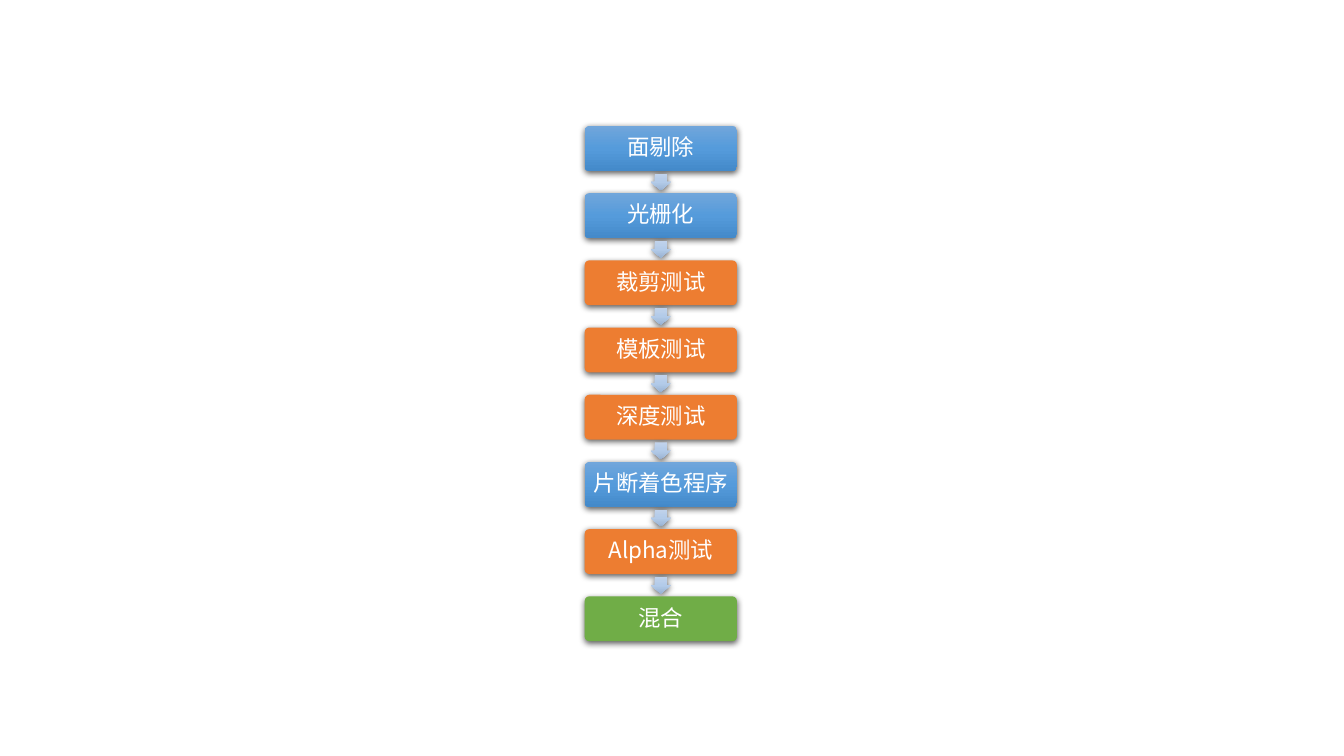
from copy import deepcopy
from lxml import etree
from pptx import Presentation
from pptx.dml.color import RGBColor
from pptx.enum.shapes import MSO_SHAPE
from pptx.enum.text import MSO_ANCHOR, PP_ALIGN
from pptx.oxml import parse_xml
from pptx.oxml.ns import qn
from pptx.util import Pt

THEME = {
    "font": "Noto Sans CJK SC",
    "size": Pt(16),
    "text": "FFFFFF",
    "stage": ["71A6DB", "559BDB", "448ACA"],
    "test": ["ED7D31"],
    "blend": ["70AD47"],
    "arrow": ["C0D2EB", "B3CBE9", "9BB4D3"],
}
SHADOW = (
    '<a:outerShdw xmlns:a="http://schemas.openxmlformats.org/drawingml/2006/main" '
    'blurRad="57150" dist="19050" dir="5400000" algn="ctr" rotWithShape="0">'
    '<a:srgbClr val="000000"><a:alpha val="63000"/></a:srgbClr></a:outerShdw>'
)
STEPS = [
    ("面剔除", "stage"),
    ("光栅化", "stage"),
    ("裁剪测试", "test"),
    ("模板测试", "test"),
    ("深度测试", "test"),
    ("片断着色程序", "stage"),
    ("Alpha测试", "test"),
    ("混合", "blend"),
]
CENTER, TOP, PITCH = 472, 90, 48
BOX_W, BOX_H = 108.7, 32
ARROW_W, ARROW_H = 12, 14.4


def add_block(kind, middle, width, height, colors):
    block = slide.shapes.add_shape(
        kind, Pt(CENTER - width / 2), Pt(middle - height / 2), Pt(width), Pt(height)
    )
    if len(colors) == 1:
        block.fill.solid()
        block.fill.fore_color.rgb = RGBColor.from_string(colors[0])
    else:
        block.fill.gradient()
        block.fill.gradient_angle = 270
        gradient = block._element.spPr.find(qn("a:gradFill"))
        gradient.set("rotWithShape", "0")
        stop_list = gradient.find(qn("a:gsLst"))
        stop_list.append(deepcopy(stop_list[-1]))
        for stop, position, color in zip(block.fill.gradient_stops, (0, 0.5, 1), colors):
            stop.position = position
            stop.color.rgb = RGBColor.from_string(color)
    block.line.fill.background()
    block.shadow.inherit = False
    block._element.spPr.find(qn("a:effectLst")).append(parse_xml(SHADOW))
    return block


prs = Presentation()
prs.slide_width, prs.slide_height = Pt(960), Pt(540)
slide = prs.slides.add_slide(prs.slide_layouts[6])

for index, (label, role) in enumerate(STEPS):
    middle = TOP + index * PITCH + BOX_H / 2
    box = add_block(MSO_SHAPE.ROUNDED_RECTANGLE, middle, BOX_W, BOX_H, THEME[role])
    box.adjustments[0] = 0.1
    frame = box.text_frame
    frame.word_wrap = False
    frame.vertical_anchor = MSO_ANCHOR.MIDDLE
    frame.margin_left = frame.margin_right = Pt(6)
    frame.margin_top = frame.margin_bottom = Pt(6)
    paragraph = frame.paragraphs[0]
    paragraph.alignment = PP_ALIGN.CENTER
    paragraph.line_spacing = 0.9
    paragraph.space_after = Pt(5.6)
    run = paragraph.add_run()
    run.text = label
    run.font.size = THEME["size"]
    run.font.name = THEME["font"]
    run.font.color.rgb = RGBColor.from_string(THEME["text"])
    etree.SubElement(run.font._element, qn("a:ea")).set("typeface", THEME["font"])

    if index < len(STEPS) - 1:
        arrow = add_block(
            MSO_SHAPE.RIGHT_ARROW, middle + PITCH / 2, ARROW_W, ARROW_H, THEME["arrow"]
        )
        arrow.rotation = 90
        arrow.adjustments[0] = 0.6
        arrow.adjustments[1] = 0.5

prs.save("out.pptx")
